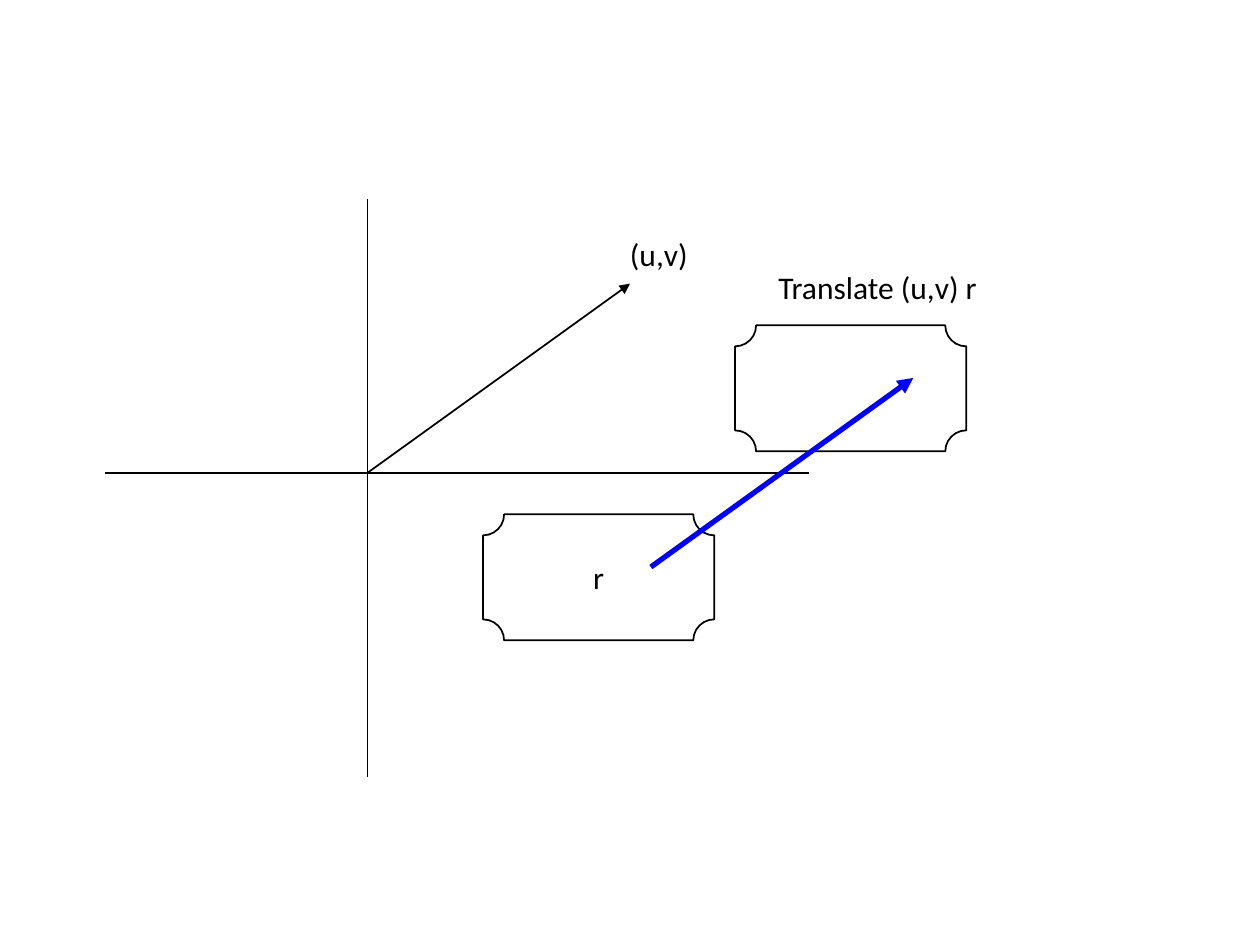
import pptx
import pptx.util
import pptx.dml.color
import pptx.enum.shapes
import pptx.enum.text
import pptx.oxml.ns
import lxml.etree

Cm, Pt = pptx.util.Cm, pptx.util.Pt
HUES = {"ink": "000000", "paper": "FFFFFF", "shift": "0000FF"}
RGB = {name: pptx.dml.color.RGBColor.from_string(code) for name, code in HUES.items()}

deck = pptx.Presentation()
deck.slide_width, deck.slide_height = Cm(25.4), Cm(19.05)
slide = deck.slides.add_slide(deck.slide_layouts[6])
shapes = slide.shapes


def write(shape, text, wrap):
    frame = shape.text_frame
    frame.word_wrap = wrap
    frame.text = text
    font = frame.paragraphs[0].font
    font.name, font.size = "Calibri", Pt(18)
    font.color.rgb = RGB["ink"]
    return frame


def draw(start, end, hue="ink", width=1, arrow=False):
    line = shapes.add_connector(
        pptx.enum.shapes.MSO_CONNECTOR.STRAIGHT, *map(Cm, start + end))
    line.line.color.rgb = RGB[hue]
    line.line.width = Pt(width)
    props = line._element.spPr
    lxml.etree.SubElement(props, pptx.oxml.ns.qn("a:effectLst"))
    if arrow:
        tip = lxml.etree.SubElement(props.find(pptx.oxml.ns.qn("a:ln")),
                                    pptx.oxml.ns.qn("a:tailEnd"))
        tip.set("type", "triangle")


# Axes, crossing at the origin
ox, oy = 7.41, 9.53
draw((ox, 4.02), (ox, 15.66))
draw((2.12, oy), (16.3, oy))

# Region r and its translated twin
plaques = []
for left, top in [(9.74, 10.37), (14.82, 6.56)]:
    plaque = shapes.add_shape(pptx.enum.shapes.MSO_SHAPE.PLAQUE,
                              Cm(left), Cm(top), Cm(4.66), Cm(2.54))
    plaque.shadow.inherit = False
    plaque.fill.solid()
    plaque.fill.fore_color.rgb = RGB["paper"]
    plaque.line.color.rgb = RGB["ink"]
    plaque.line.width = Pt(1)
    plaques.append(plaque)
frame = write(plaques[0], "r", False)
frame.vertical_anchor = pptx.enum.text.MSO_ANCHOR.MIDDLE
frame.paragraphs[0].alignment = pptx.enum.text.PP_ALIGN.CENTER

# Vector (u,v), from the origin and again from r
u, v = 5.29, 3.81
for x, y, hue, width in [(ox, oy, "ink", 1), (13.12, 11.43, "shift", 3)]:
    draw((x, y), (x + u, y - v), hue, width, arrow=True)

# Labels
for text, left, top, width, wrap in [("Translate (u,v) r", 15.44, 5.28, 8.26, True),
                                     ("(u,v)", 12.45, 4.62, 1.7, False)]:
    box = shapes.add_textbox(Cm(left), Cm(top), Cm(width), Cm(0.94))
    frame = write(box, text, wrap)
    frame.auto_size = pptx.enum.text.MSO_AUTO_SIZE.SHAPE_TO_FIT_TEXT

deck.save("out.pptx")
